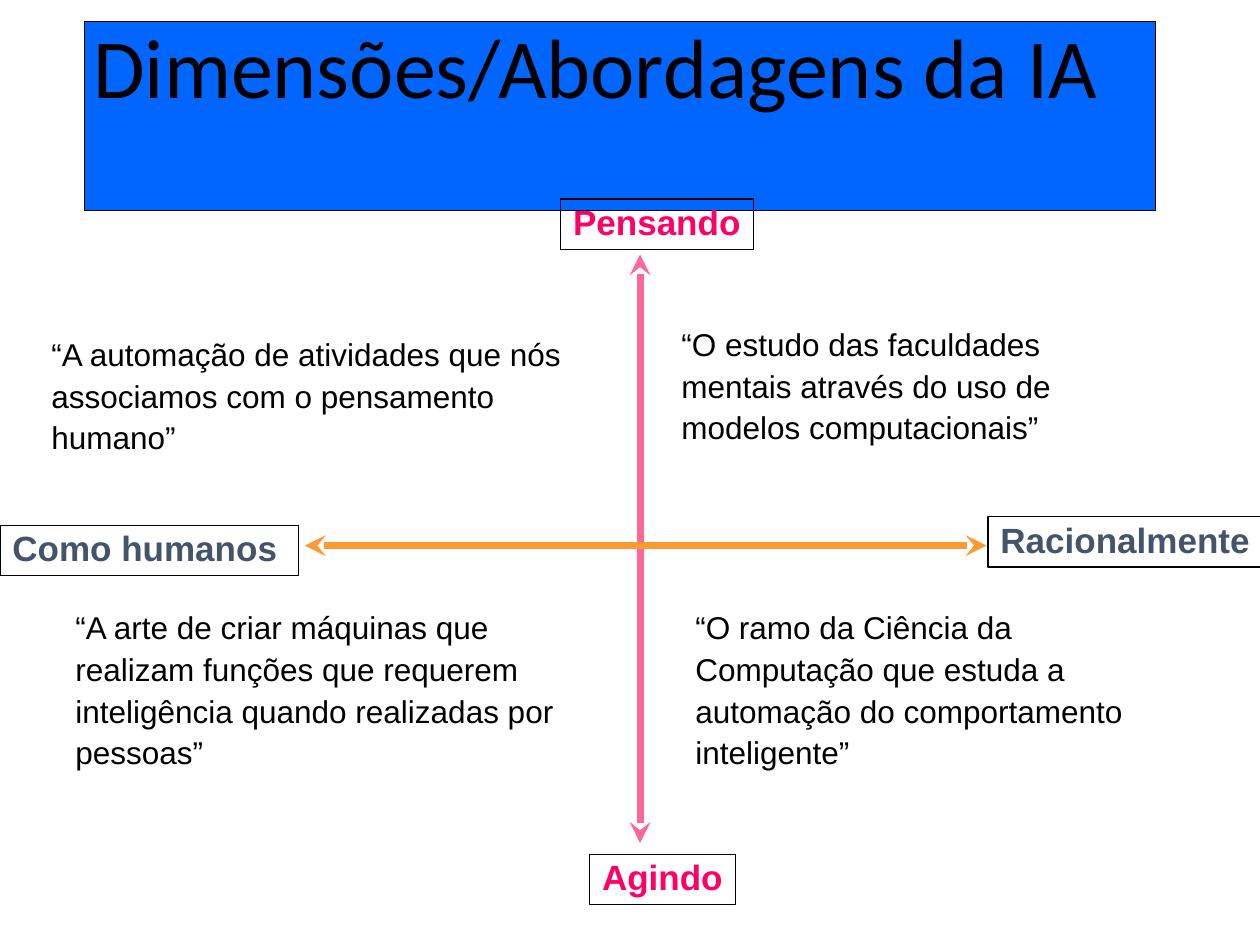
from dataclasses import dataclass

from lxml import etree
from pptx import Presentation
from pptx import util as u
from pptx.dml.color import RGBColor
from pptx.enum import shapes, text
from pptx.oxml.ns import qn


@dataclass(frozen=True)
class Theme:
    black: str = "000000"
    banner: str = "0066FF"
    action: str = "FF0066"
    manner: str = "44546A"
    vertical: str = "FF6699"
    horizontal: str = "FF9933"
    title_font: str = "Calibri"
    body_font: str = "Arial"
    title_size: int = 48
    label_size: int = 20
    quote_size: int = 18


theme = Theme()


def write(shape, paragraphs, spacing, inset, wrap, align=text.PP_ALIGN.LEFT):
    """Fill a shape with paragraphs, each a list of (words, font, size, colour, bold) runs."""
    frame = shape.text_frame
    frame.word_wrap = wrap
    frame.auto_size = text.MSO_AUTO_SIZE.NONE
    frame.vertical_anchor = text.MSO_ANCHOR.TOP
    frame.margin_left = frame.margin_right = u.Inches(inset)
    frame.margin_top = frame.margin_bottom = u.Inches(inset / 2)
    for index, runs in enumerate(paragraphs):
        paragraph = frame.paragraphs[0] if index == 0 else frame.add_paragraph()
        paragraph.alignment = align
        paragraph.line_spacing = spacing
        for words, font, size, colour, bold in runs:
            run = paragraph.add_run()
            run.text = words
            run.font.name = font
            run.font.size = u.Pt(size)
            run.font.bold = bold
            run.font.color.rgb = RGBColor.from_string(colour)


def add_box(left, top, width, height, fill=None):
    """Add a thin black outlined rectangle."""
    box = slide.shapes.add_shape(
        shapes.MSO_SHAPE.RECTANGLE, *map(u.Inches, (left, top, width, height)))
    box.shadow.inherit = False
    if fill:
        box.fill.solid()
        box.fill.fore_color.rgb = RGBColor.from_string(fill)
    else:
        box.fill.background()
    box.line.color.rgb = RGBColor.from_string(theme.black)
    box.line.width = u.Pt(0.75)
    return box


deck = Presentation()
deck.slide_width, deck.slide_height = u.Inches(10), u.Inches(7.5)
slide = deck.slides.add_slide(deck.slide_layouts[6])

banner = add_box(0.67, 0.17, 8.5, 1.5, theme.banner)
write(banner, [[("Dimensões/Abordagens da IA", theme.title_font, theme.title_size,
                 theme.black, False)]], 0.9, 0.07, True)

# Axes
for x1, y1, x2, y2, colour in [
    (5.08, 2.02, 5.08, 6.69, theme.vertical),
    (2.42, 4.33, 7.83, 4.33, theme.horizontal),
]:
    axis = slide.shapes.add_connector(
        shapes.MSO_CONNECTOR.STRAIGHT, *map(u.Inches, (x1, y1, x2, y2)))
    axis.line.color.rgb = RGBColor.from_string(colour)
    axis.line.width = u.Pt(4)
    stroke = axis.line._get_or_add_ln()
    for end in ("a:headEnd", "a:tailEnd"):
        etree.SubElement(stroke, qn(end), type="stealth")
    etree.SubElement(axis._element.spPr, qn("a:effectLst"))

# Axis end labels
for label, left, top, width, colour, align in [
    ("Pensando", 4.45, 1.58, 1.53, theme.action, text.PP_ALIGN.LEFT),
    ("Agindo", 4.68, 6.78, 1.16, theme.action, text.PP_ALIGN.LEFT),
    ("Como humanos", 0, 4.17, 2.37, theme.manner, text.PP_ALIGN.LEFT),
    ("Racionalmente", 7.84, 4.1, 2.18, theme.manner, text.PP_ALIGN.CENTER),
]:
    runs = [(label, theme.body_font, theme.label_size, colour, True)]
    if label == "Como humanos":
        runs.append((" ", theme.body_font, theme.quote_size, theme.black, True))
    write(add_box(left, top, width, 0.4), [runs], 0.9, 0.1, False, align)

# Quadrant definitions
for left, top, width, height, lines in [
    (0.31, 2.58, 4.54, 1.09,
     ["“A automação de atividades que nós associamos com o pensamento humano”"]),
    (0.5, 4.75, 4.39, 1.75,
     ["“A arte de criar máquinas que realizam funções que requerem inteligência "
      "quando realizadas por pessoas”"]),
    (5.31, 2.5, 3.92, 1.42,
     ["“O estudo das faculdades mentais através do uso de", "modelos computacionais”"]),
    (5.42, 4.75, 3.92, 1.42,
     ["“O ramo da Ciência da Computação que estuda a automação do comportamento "
      "inteligente”"]),
]:
    quote = slide.shapes.add_textbox(*map(u.Inches, (left, top, width, height)))
    write(quote, [[(line, theme.body_font, theme.quote_size, theme.black, False)]
                  for line in lines], 1.1, 0.1, True)

deck.save("out.pptx")
